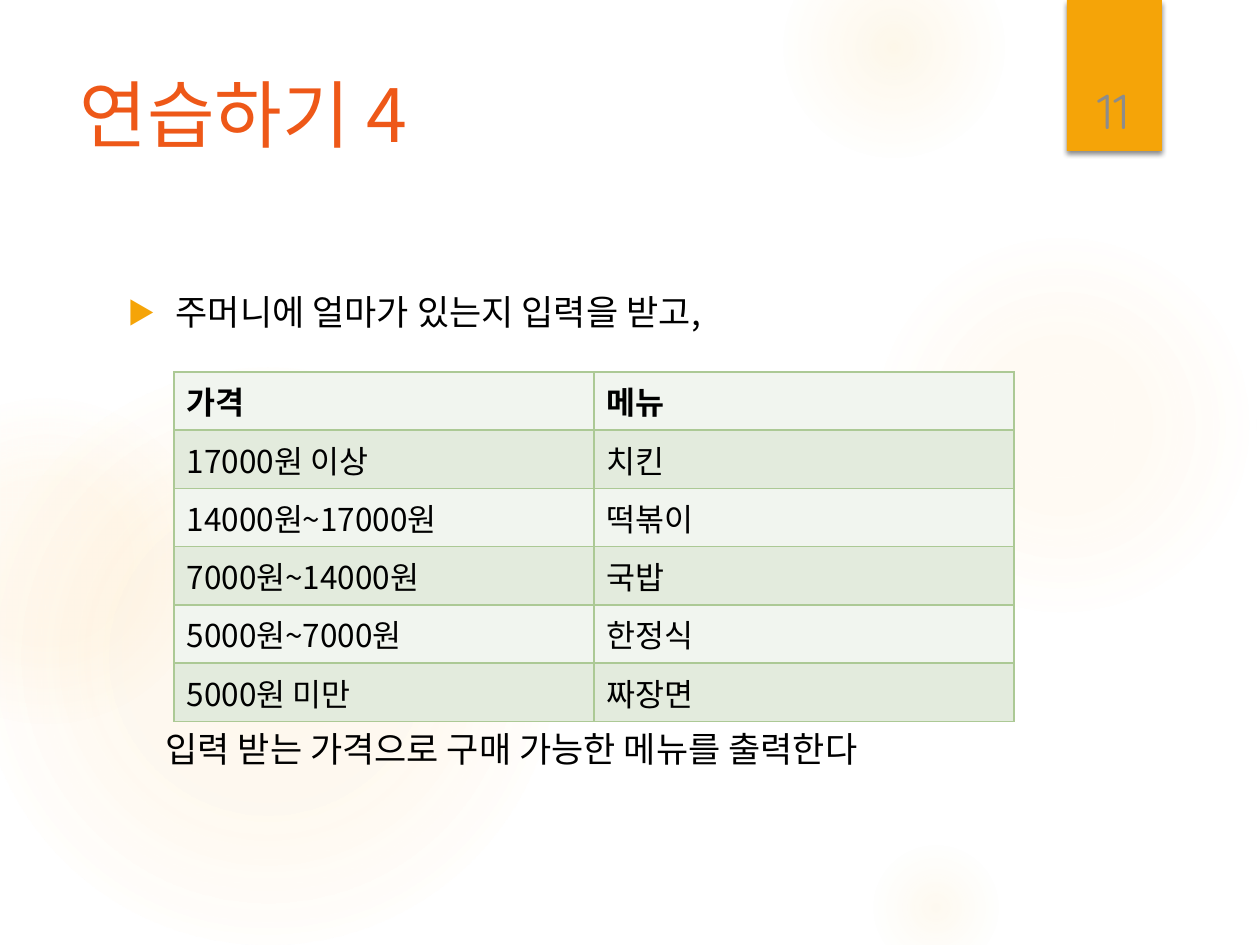
from dataclasses import dataclass

from lxml import etree
from pptx import Presentation
from pptx.dml.color import RGBColor
from pptx.enum.shapes import MSO_SHAPE
from pptx.enum.text import MSO_ANCHOR, MSO_AUTO_SIZE, PP_ALIGN
from pptx.oxml.ns import nsdecls, qn
from pptx.util import Emu, Pt

OVAL, RECT = MSO_SHAPE.OVAL, MSO_SHAPE.RECTANGLE
TOP, BOTTOM = MSO_ANCHOR.TOP, MSO_ANCHOR.BOTTOM
LEFT, CENTER = PP_ALIGN.LEFT, PP_ALIGN.CENTER
NO_AUTOFIT = MSO_AUTO_SIZE.NONE

PX_PER_INCH = 126
KOREAN, NUMERIC = "Noto Sans CJK KR", "Quicksand"

BLACK = RGBColor(0x00, 0x00, 0x00)
ORANGE = RGBColor(0xEE, 0x58, 0x18)
AMBER = RGBColor(0xF5, 0xA4, 0x08)
GLOW = RGBColor(0xFA, 0xC9, 0x6A)
GRAY = RGBColor(0x8C, 0x8C, 0x8C)
GREEN_LINE = RGBColor(0xAC, 0xC9, 0x95)
ROW_FILLS = (RGBColor(0xF1, 0xF5, 0xEF), RGBColor(0xE3, 0xEB, 0xDD))


@dataclass(frozen=True)
class Glow:
    left: int
    top: int
    size: int
    stops: tuple[tuple[int, int], ...]  # (position %, opacity %)


GLOWS = (
    Glow(868, 231, 388, ((0, 7), (36, 6), (69, 0))),
    Glow(784, -63, 220, ((0, 14), (36, 7), (73, 0))),
    Glow(868, 840, 136, ((0, 10), (31, 5), (66, 0))),
    Glow(-21, 368, 577, ((0, 11), (36, 10), (75, 0))),
    Glow(-116, 399, 325, ((0, 8), (36, 8), (72, 0))),
)

MENU = (
    ("가격", "메뉴"),
    ("17000원 이상", "치킨"),
    ("14000원~17000원", "떡볶이"),
    ("7000원~14000원", "국밥"),
    ("5000원~7000원", "한정식"),
    ("5000원 미만", "짜장면"),
)


def px(length: int) -> Emu:
    return Emu(round(length * 914400 / PX_PER_INCH))


def box(left: int, top: int, width: int, height: int) -> tuple[Emu, ...]:
    return tuple(px(length) for length in (left, top, width, height))


def apply(target, values: dict) -> None:
    for name, value in values.items():
        setattr(target, name, value)


def place(shape, *bounds: int) -> None:
    apply(shape, dict(zip(("left", "top", "width", "height"), box(*bounds))))


def xml(tag: str, content: str, attributes: str = ""):
    return etree.fromstring(
        f"<a:{tag} {nsdecls('a')} {attributes}>{content}</a:{tag}>")


def write(paragraph, text: str, size: int, color: RGBColor,
          font: str = KOREAN, bold: bool = False) -> None:
    run = paragraph.add_run()
    run.text = text
    apply(run.font, {"name": font, "size": Pt(size), "bold": bold})
    run.font.color.rgb = color
    run.font._element.find(qn("a:latin")).addnext(
        xml("ea", "", f'typeface="{font}"'))


def draw_glow(shapes, glow: Glow) -> None:
    oval = shapes.add_shape(OVAL, *box(glow.left, glow.top, glow.size, glow.size))
    oval.shadow.inherit = False
    oval.line.fill.background()
    stops = "".join(
        f'<a:gs pos="{position * 1000}"><a:srgbClr val="{GLOW}">'
        f'<a:alpha val="{opacity * 1000}"/></a:srgbClr></a:gs>'
        for position, opacity in glow.stops)
    center = '<a:fillToRect l="50000" t="50000" r="50000" b="50000"/>'
    gradient = xml("gradFill", f'<a:gsLst>{stops}</a:gsLst>'
                   f'<a:path path="circle">{center}</a:path>')
    oval._element.spPr.find(qn("a:prstGeom")).addnext(gradient)


def draw_ribbon(shapes) -> None:
    ribbon = shapes.add_shape(RECT, *box(1067, 0, 95, 151))
    ribbon.shadow.inherit = False
    ribbon.fill.solid()
    ribbon.fill.fore_color.rgb = AMBER
    ribbon.line.fill.background()
    ribbon._element.spPr.find(qn("a:effectLst")).append(xml(
        "outerShdw",
        '<a:srgbClr val="000000"><a:alpha val="45000"/></a:srgbClr>',
        'blurRad="38100" dist="25400" dir="5400000" rotWithShape="0"'))


def set_indent(paragraph, margin: int, indent: int, bullets: list):
    properties = paragraph._p.get_or_add_pPr()
    properties.set("marL", str(px(margin)))
    properties.set("indent", str(px(indent)))
    properties.extend(bullets)


def fill_title(title) -> None:
    place(title, 67, 63, 973, 193)
    apply(title.text_frame, {"vertical_anchor": TOP, "auto_size": NO_AUTOFIT,
                             "word_wrap": True})
    heading = title.text_frame.paragraphs[0]
    heading.alignment = LEFT
    write(heading, "연습하기 4", 42, ORANGE)


def fill_body(body) -> None:
    place(body, 115, 284, 925, 578)
    frame = body.text_frame
    apply(frame, {"vertical_anchor": TOP, "auto_size": NO_AUTOFIT,
                  "word_wrap": True})
    task, result = frame.paragraphs[0], frame.add_paragraph()
    set_indent(task, 48, -48, [
        xml("buClr", f'<a:srgbClr val="{AMBER}"/>'),
        xml("buSzPct", "", 'val="80000"'),
        xml("buFont", "", f'typeface="{KOREAN}"'),
        xml("buChar", "", 'char="▶"'),
    ])
    set_indent(result, 38, 0, [xml("buNone", "")])
    task.space_before = Pt(0)
    result.space_before = Pt(226)  # leaves room for the menu table
    write(task, "주머니에 얼마가 있는지 입력을 받고,", 20, BLACK)
    write(result, "입력 받는 가격으로 구매 가능한 메뉴를 출력한다", 20, BLACK)


def draw_borders(cell) -> None:
    color = f'<a:solidFill><a:srgbClr val="{GREEN_LINE}"/></a:solidFill>'
    for side in ("lnL", "lnR", "lnT", "lnB"):
        cell._tc.get_or_add_tcPr().append(xml(side, color, 'w="12700"'))


def draw_menu(shapes) -> None:
    row_height = 51
    menu = shapes.add_table(len(MENU), len(MENU[0]),
                            *box(174, 372, 840, row_height * len(MENU))).table
    for r, entries in enumerate(MENU):
        menu.rows[r].height = px(row_height)
        for c, text in enumerate(entries):
            cell = menu.cell(r, c)
            draw_borders(cell)
            cell.fill.solid()
            cell.fill.fore_color.rgb = ROW_FILLS[r % 2]
            write(cell.text_frame.paragraphs[0], text, 18, BLACK, bold=r == 0)


def draw_page_number(shapes) -> None:
    frame = shapes.add_textbox(*box(1070, 40, 87, 106)).text_frame
    apply(frame, {"word_wrap": True, "vertical_anchor": BOTTOM})
    number = frame.paragraphs[0]
    number.alignment = CENTER
    write(number, "11", 28, GRAY, NUMERIC)


def main() -> None:
    deck = Presentation()
    apply(deck, {"slide_width": px(1260), "slide_height": px(945)})
    slide = deck.slides.add_slide(deck.slide_layouts[1])
    shapes = slide.shapes
    title, body = slide.placeholders

    # Background decoration
    for glow in GLOWS:
        draw_glow(shapes, glow)
    draw_ribbon(shapes)

    # Title and body, raised above the decoration
    for placeholder in (title, body):
        shapes._spTree.append(placeholder._element)
    fill_title(title)
    fill_body(body)

    # Price table and page number
    draw_menu(shapes)
    draw_page_number(shapes)
    deck.save("out.pptx")


if __name__ == "__main__":
    main()
